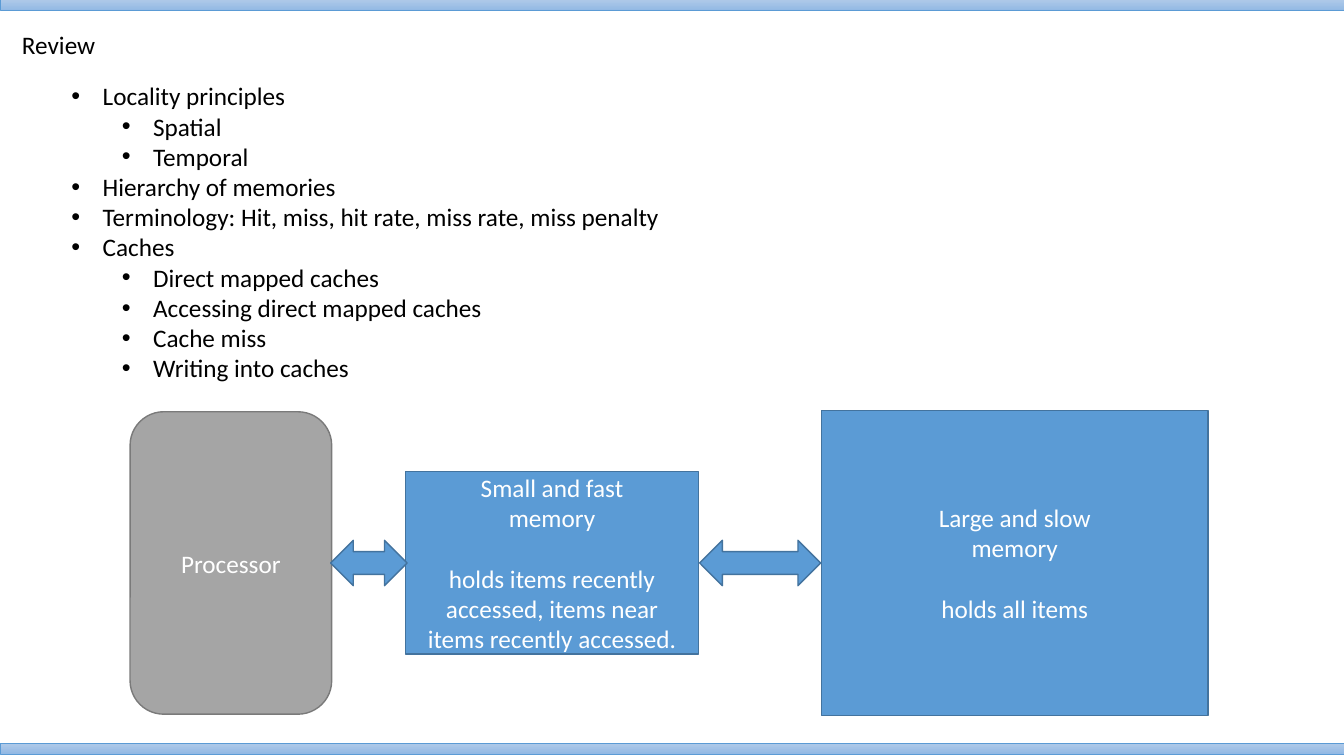
from lxml import etree
from pptx import Presentation
from pptx.dml.color import RGBColor
from pptx.enum.shapes import MSO_SHAPE
from pptx.enum.text import MSO_ANCHOR, PP_ALIGN
from pptx.oxml.ns import qn
from pptx.util import Inches, Pt

RECT = MSO_SHAPE.RECTANGLE
ROUND = MSO_SHAPE.ROUNDED_RECTANGLE
ARROW = MSO_SHAPE.LEFT_RIGHT_ARROW
MIDDLE = MSO_ANCHOR.MIDDLE
CENTER = PP_ALIGN.CENTER

WIDTH, HEIGHT = Inches(13.33), Inches(7.5)
AXIS = 74.47
LINE = 22
COLORS = {
    "ink": "000000", "white": "FFFFFF",
    "blue": "5B9BD5", "navy": "43739E",
    "gray": "A5A5A5", "slate": "7A7A7A",
    "pale": "B1CBE9", "sky": "93B9E4",
}
TOPICS = [
    (0, "Locality principles"),
    (1, "Spatial"),
    (1, "Temporal"),
    (0, "Hierarchy of memories"),
    (0, "Terminology: Hit, miss, hit rate, miss rate, miss penalty"),
    (0, "Caches"),
    (1, "Direct mapped caches"),
    (1, "Accessing direct mapped caches"),
    (1, "Cache miss"),
    (1, "Writing into caches"),
]


def color(name):
    return RGBColor.from_string(COLORS[name])


def place(left, top, width, height):
    return (int(WIDTH * left / 100), int(HEIGHT * top / 100),
            int(WIDTH * width / 100), int(HEIGHT * height / 100))


def add_lines(frame, lines, ink):
    frame.word_wrap = True
    for i, text in enumerate(lines):
        para = frame.paragraphs[0] if i == 0 else frame.add_paragraph()
        para.text = text
        para.font.name = "Calibri"
        para.font.size = Pt(18)
        para.font.color.rgb = color(ink)
    return frame.paragraphs


def add_text(slide, area, lines):
    frame = slide.shapes.add_textbox(*place(*area)).text_frame
    return add_lines(frame, lines, "ink")


def add_bullet(para, level):
    para.level = level
    props = para._p.get_or_add_pPr()
    props.set("marL", str(Inches(0.31 + 0.5 * level)))
    props.set("indent", str(Inches(-0.31)))
    font = etree.SubElement(props, qn("a:buFont"))
    font.set("typeface", "Arial")
    mark = etree.SubElement(props, qn("a:buChar"))
    mark.set("char", "•")
    props.append(props.find(qn("a:defRPr")))


def add_form(slide, kind, area, edge, weight):
    form = slide.shapes.add_shape(kind, *place(*area))
    form.shadow.inherit = False
    form.line.color.rgb = color(edge)
    form.line.width = Pt(weight)
    return form


def add_bar(slide, top):
    fill = add_form(slide, RECT, (0, top, 100, 1.47), "blue", 0.5).fill
    fill.gradient()
    fill.gradient_angle = 270
    for stop, name in zip(fill.gradient_stops, ("pale", "sky")):
        stop.color.rgb = color(name)


def add_block(slide, kind, left, width, height, lines=(),
              fill="blue", edge="navy"):
    area = (left, AXIS - height / 2, width, height)
    block = add_form(slide, kind, area, edge, 1)
    block.fill.solid()
    block.fill.fore_color.rgb = color(fill)
    frame = block.text_frame
    frame.vertical_anchor = MIDDLE
    for para in add_lines(frame, lines, "white"):
        para.alignment = CENTER
    return block


def add_store(slide, left, width, height, lines):
    block = add_block(slide, RECT, left, width, height, lines)
    block.text_frame.paragraphs[-1].space_before = Pt(LINE)


def main():
    deck = Presentation()
    deck.slide_width, deck.slide_height = WIDTH, HEIGHT
    slide = deck.slides.add_slide(deck.slide_layouts[6])

    for top in (-0.13, 98.27):
        add_bar(slide, top)
    add_text(slide, (0.9, 3.2, 92.12, 5.6), ["Review"])

    add_store(slide, 30.16, 21.83, 24.13, [
        "Small and fast", "memory",
        "holds items recently accessed, items near items recently accessed."])
    add_store(slide, 61.14, 28.73, 40.4, [
        "Large and slow", "memory", "holds all items"])
    add_block(slide, ROUND, 9.68, 15, 40, ["Processor"], "gray", "slate")
    for left, width in ((52.06, 9), (24.6, 5.7)):
        add_block(slide, ARROW, left, width, 6)

    paras = add_text(slide, (4.58, 10, 89.12, 49.6),
                     [text for _, text in TOPICS])
    for para, (level, _) in zip(paras, TOPICS):
        add_bullet(para, level)

    deck.save("out.pptx")


if __name__ == "__main__":
    main()
